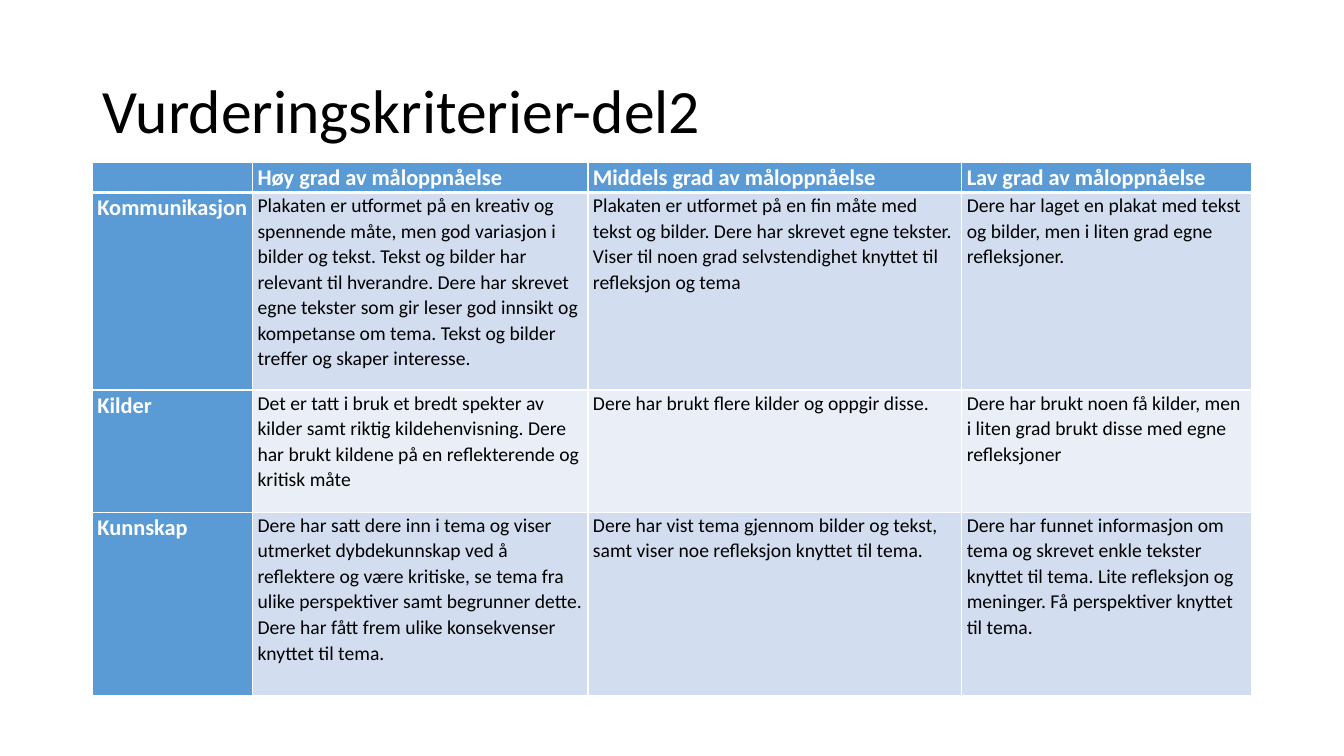
from dataclasses import dataclass

from lxml import etree
from pptx import Presentation
from pptx.dml.color import RGBColor
from pptx.enum import text
from pptx.oxml import ns
from pptx.util import Pt

FONT = "Calibri"
BLACK = RGBColor(0x00, 0x00, 0x00)
WHITE = RGBColor(0xFF, 0xFF, 0xFF)
BLUE = RGBColor(0x5B, 0x9B, 0xD5)
BANDS = (RGBColor(0xD2, 0xDE, 0xEF), RGBColor(0xEA, 0xEF, 0xF7))

LEFT, TABLE_TOP, WIDTH = 66, 115.9, 828
COLUMN_WIDTHS = (114.4, 239.6, 267, 207)
HEADER_HEIGHT = 21.6
THIN, THICK = 1, 3


@dataclass(frozen=True)
class Criterion:
    name: str
    height: float
    levels: tuple[str, str, str]


LEVELS = ("Høy grad av måloppnåelse", "Middels grad av måloppnåelse", "Lav grad av måloppnåelse")
CRITERIA = (
    Criterion("Kommunikasjon", 141, (
        "Plakaten er utformet på en kreativ og spennende måte, men god variasjon i bilder og tekst. "
        "Tekst og bilder har relevant til hverandre. Dere har skrevet egne tekster som gir leser god "
        "innsikt og kompetanse om tema. Tekst og bilder treffer og skaper interesse.",
        "Plakaten er utformet på en fin måte med tekst og bilder. Dere har skrevet egne tekster. "
        "Viser til noen grad selvstendighet knyttet til refleksjon og tema",
        "Dere har laget en plakat med tekst og bilder, men i liten grad egne refleksjoner.",
    )),
    Criterion("Kilder", 87.3, (
        "Det er tatt i bruk et bredt spekter av kilder samt riktig kildehenvisning. "
        "Dere har brukt kildene på en reflekterende og kritisk måte",
        "Dere har brukt flere kilder og oppgir disse.",
        "Dere har brukt noen få kilder, men i liten grad brukt disse med egne refleksjoner",
    )),
    Criterion("Kunnskap", 131.2, (
        "Dere har satt dere inn i tema og viser utmerket dybdekunnskap ved å reflektere og være "
        "kritiske, se tema fra ulike perspektiver samt begrunner dette. Dere har fått frem ulike "
        "konsekvenser knyttet til tema.",
        "Dere har vist tema gjennom bilder og tekst, samt viser noe refleksjon knyttet til tema.",
        "Dere har funnet informasjon om tema og skrevet enkle tekster knyttet til tema. "
        "Lite refleksjon og meninger. Få perspektiver knyttet til tema.",
    )),
)


def write(paragraph, words: str, size: float, color: RGBColor, bold: bool, spacing: float) -> None:
    paragraph.text = words
    paragraph.alignment = text.PP_ALIGN.LEFT
    paragraph.line_spacing = spacing
    for run in paragraph.runs:
        run.font.name = FONT
        run.font.size = Pt(size)
        run.font.bold = bold
        run.font.color.rgb = color


def add_borders(cell, top: float, bottom: float) -> None:
    properties = cell._tc.get_or_add_tcPr()
    for side, width in (("L", THIN), ("R", THIN), ("T", top), ("B", bottom)):
        border = etree.SubElement(properties, ns.qn(f"a:ln{side}"), w=str(Pt(width)))
        fill = etree.SubElement(border, ns.qn("a:solidFill"))
        etree.SubElement(fill, ns.qn("a:srgbClr"), val=str(WHITE))


def add_title(slide, words: str) -> None:
    title = slide.shapes.title
    title.left, title.top, title.width, title.height = Pt(LEFT), Pt(28.8), Pt(WIDTH), Pt(104.4)
    frame = title.text_frame
    frame.auto_size = text.MSO_AUTO_SIZE.NONE
    frame.vertical_anchor = text.MSO_ANCHOR.MIDDLE
    write(frame.paragraphs[0], words, 44, BLACK, False, 0.9)


def fill_cell(cell, words: str, row: int, column: int) -> None:
    heading = row == 0 or column == 0
    cell.margin_left = cell.margin_right = Pt(3.6)
    cell.margin_top = cell.margin_bottom = 0
    add_borders(cell, THICK if row == 1 else THIN, THICK if row == 0 else THIN)
    cell.fill.solid()
    cell.fill.fore_color.rgb = BLUE if heading else BANDS[(row - 1) % 2]
    paragraph = cell.text_frame.paragraphs[0]
    size = 16 if heading else 14
    write(paragraph, words, size, WHITE if heading else BLACK, heading, 1.07)
    if not words:
        etree.SubElement(paragraph._p, ns.qn("a:endParaRPr"), sz=str(size * 100))


def add_criteria_table(slide) -> None:
    rows = [("", *LEVELS)] + [(c.name, *c.levels) for c in CRITERIA]
    heights = [HEADER_HEIGHT] + [c.height for c in CRITERIA]
    table = slide.shapes.add_table(
        len(rows), len(COLUMN_WIDTHS), Pt(LEFT), Pt(TABLE_TOP), Pt(WIDTH), Pt(sum(heights))
    ).table
    table.first_col = True
    for column, width in zip(table.columns, COLUMN_WIDTHS):
        column.width = Pt(width)
    for row, height in zip(table.rows, heights):
        row.height = Pt(height)
    for r, row_words in enumerate(rows):
        for c, words in enumerate(row_words):
            fill_cell(table.cell(r, c), words, r, c)


def main() -> None:
    deck = Presentation()
    deck.slide_width, deck.slide_height = Pt(960), Pt(540)
    slide = deck.slides.add_slide(deck.slide_layouts[5])
    add_title(slide, "Vurderingskriterier-del2")
    add_criteria_table(slide)
    deck.save("out.pptx")


if __name__ == "__main__":
    main()
